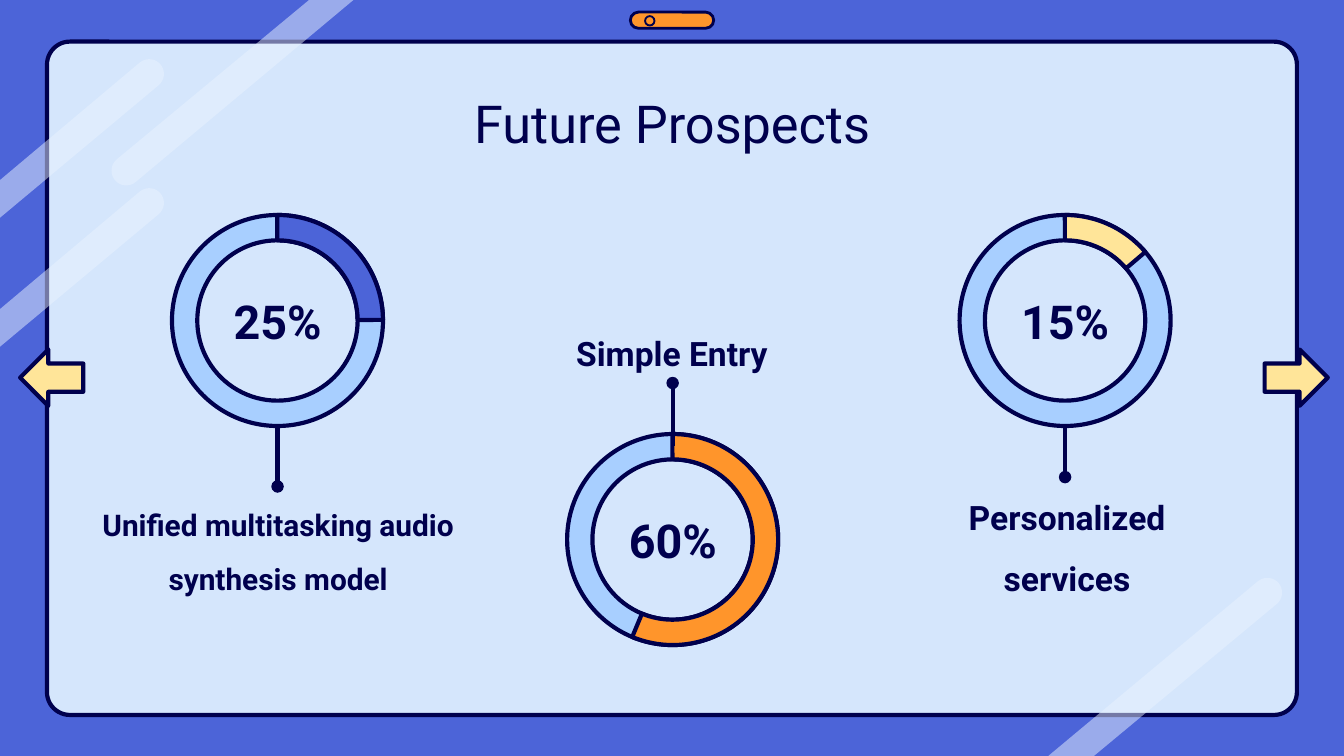
from math import cos, radians, sin

from lxml.etree import SubElement
from pptx import Presentation
from pptx.dml.color import RGBColor
from pptx.enum.shapes import MSO_CONNECTOR, MSO_SHAPE
from pptx.enum.text import MSO_ANCHOR, PP_ALIGN
from pptx.oxml.ns import qn
from pptx.util import Inches, Pt

NAVY = RGBColor(0x00, 0x00, 0x4D)
BLUE = RGBColor(0x4C, 0x64, 0xD8)
SKY = RGBColor(0xA8, 0xCF, 0xFF)
PALE = RGBColor(0xD5, 0xE6, 0xFC)
GLARE = RGBColor(0xE9, 0xF3, 0xFF)
ORANGE = RGBColor(0xFF, 0x95, 0x2B)
YELLOW = RGBColor(0xFF, 0xE5, 0x99)

WIDTH = 10
HEIGHT = WIDTH * 9 / 16
RING_SIZE = 1.57
STROKE = 2.25


def add_outlined(page, kind, left, top, width, height, fill, stroke=STROKE, adjustments=()):
    shape = page.shapes.add_shape(
        kind, Inches(left), Inches(top), Inches(width), Inches(height))
    shape.shadow.inherit = False
    shape.fill.solid()
    shape.fill.fore_color.rgb = fill
    shape.line.color.rgb = NAVY
    shape.line.width = Pt(stroke)
    for index, value in enumerate(adjustments):
        shape.adjustments[index] = value


def add_label(page, left, top, width, height, text, size, bold=True,
              spacing=1.0, anchor=MSO_ANCHOR.MIDDLE):
    box = page.shapes.add_textbox(
        Inches(left), Inches(top), Inches(width), Inches(height))
    frame = box.text_frame
    frame.word_wrap = True
    frame.vertical_anchor = anchor
    frame.margin_left = frame.margin_right = Inches(0.1)
    frame.margin_top = frame.margin_bottom = Inches(0.1)
    para = frame.paragraphs[0]
    para.text = text
    para.alignment = PP_ALIGN.CENTER
    para.line_spacing = spacing
    para.font.name = "Roboto"
    para.font.size = Pt(size)
    para.font.bold = bold
    para.font.color.rgb = NAVY


def add_streak(page, cap_x, cap_y, first_angle, start, end):
    radius, steps = 0.11, 18
    angles = [radians(first_angle + 180 * step / steps) for step in range(steps + 1)]
    cap = [(cap_x + radius * cos(angle), cap_y + radius * sin(angle)) for angle in angles]
    points = [(Inches(x), Inches(y)) for x, y in [start, *cap, end]]
    builder = page.shapes.build_freeform(*points[0])
    builder.add_line_segments(points[1:], close=True)
    streak = builder.convert_to_shape()
    streak.shadow.inherit = False
    streak.fill.solid()
    streak.fill.fore_color.rgb = GLARE
    color = streak._element.spPr.find(qn("a:solidFill"))[0]
    SubElement(color, qn("a:alpha")).set("val", "50000")
    streak.line.fill.background()


def add_screen(page):
    page.background.fill.solid()
    page.background.fill.fore_color.rgb = BLUE
    add_outlined(page, MSO_SHAPE.ROUNDED_RECTANGLE, 0.35, 0.31, 9.3, 5.01, PALE,
                 adjustments=[0.034])
    add_streak(page, 9.43, 4.41, 230, (7.8, HEIGHT), (8.14, HEIGHT))
    add_streak(page, 0.94, 1.27, 50, (2.63, 0), (2.3, 0))
    for drop in (0, 0.96):
        add_streak(page, 1.11, 0.55 + drop, 230, (0, 1.34 + drop), (0, 1.62 + drop))


def add_camera(page, left, top):
    add_outlined(page, MSO_SHAPE.ROUNDED_RECTANGLE, left, top, 0.62, 0.12, ORANGE,
                 stroke=1.5, adjustments=[0.5])
    add_outlined(page, MSO_SHAPE.OVAL, left + 0.11, top + 0.03, 0.07, 0.07, ORANGE,
                 stroke=1)


def add_pin(page, x, start, end):
    pin = page.shapes.add_connector(
        MSO_CONNECTOR.STRAIGHT, Inches(x), Inches(start), Inches(x), Inches(end))
    pin.line.color.rgb = NAVY
    pin.line.width = Pt(STROKE)
    outline = pin._element.spPr.find(qn("a:ln"))
    SubElement(outline, qn("a:tailEnd")).set("type", "oval")
    SubElement(pin._element.spPr, qn("a:effectLst"))


def add_gauge(page, left, top, value, end_angle, color, pin_start, pin_end):
    ring = (left, top, RING_SIZE, RING_SIZE)
    center = left + RING_SIZE / 2
    add_outlined(page, MSO_SHAPE.DONUT, *ring, SKY, adjustments=[0.12])
    add_outlined(page, MSO_SHAPE.BLOCK_ARC, *ring, color,
                 adjustments=[269.87 * 0.6, end_angle * 0.6, 0.12])
    add_label(page, center - 0.61, top + 0.45, 1.22, 0.67, value, 25)
    add_pin(page, center, top + pin_start, top + pin_end)


def add_prospects(page):
    add_label(page, 0.79, 0.58, 8.42, 0.63, "Future Prospects", 28, bold=False,
              anchor=MSO_ANCHOR.TOP)
    add_gauge(page, 1.28, 1.6, "25%", 359.66, BLUE, RING_SIZE, 2.02)
    add_gauge(page, 4.22, 3.23, "60%", 112.5, ORANGE, 0.09, -0.38)
    add_gauge(page, 7.14, 1.6, "15%", 319.5, YELLOW, RING_SIZE, 1.95)
    add_label(page, 0.41, 3.54, 3.32, 1,
              "Unified multitasking audio synthesis model", 16, spacing=1.5)
    add_label(page, 3.72, 2.4, 2.56, 0.45, "Simple Entry", 18)
    add_label(page, 6.66, 3.5, 2.56, 1, "Personalized services", 18, spacing=1.5)


def add_arrows(page, top):
    for kind, left in ((MSO_SHAPE.LEFT_ARROW, 0.15), (MSO_SHAPE.RIGHT_ARROW, 9.41)):
        add_outlined(page, kind, left, top, 0.47, 0.42, YELLOW)


def main():
    deck = Presentation()
    deck.slide_width, deck.slide_height = Inches(WIDTH), Inches(HEIGHT)
    page = deck.slides.add_slide(deck.slide_layouts[6])
    add_screen(page)
    add_camera(page, 4.69, 0.09)
    add_prospects(page)
    add_arrows(page, 2.6)
    deck.save("out.pptx")


if __name__ == "__main__":
    main()
